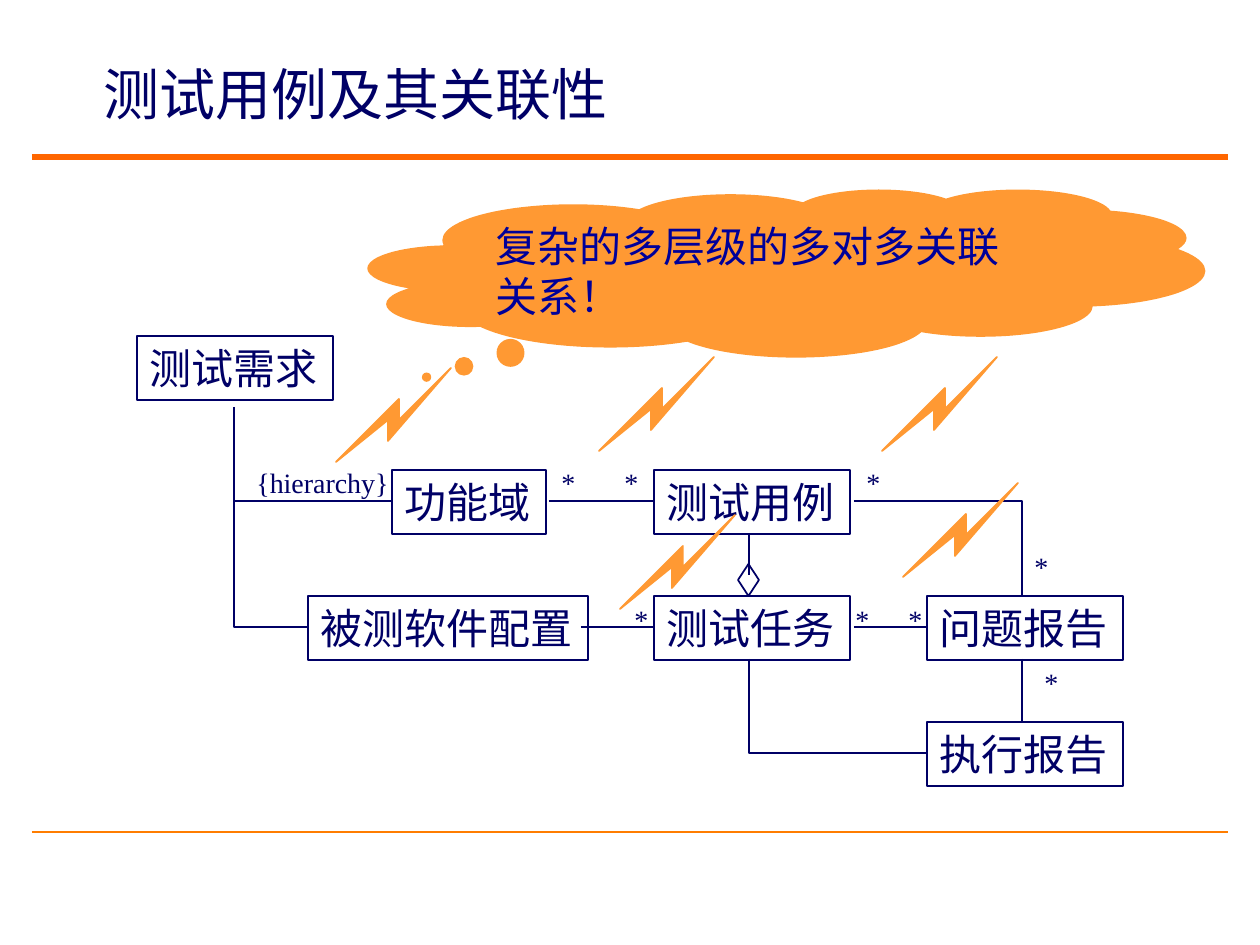
"""Build the slide on test cases and their associations."""
import pptx
import pptx.dml.color
import pptx.enum.shapes
import pptx.enum.text
import pptx.oxml.ns
import pptx.util
from lxml import etree

SCALE = 914400 // 126
COLORS = {"navy": "000066", "blue": "000099", "orange": "FF9933",
          "rule": "FF6600", "footer": "FF7D00"}
SERIF = "Times New Roman"
SHAPES = pptx.enum.shapes.MSO_SHAPE
AUTO_SIZE = pptx.enum.text.MSO_AUTO_SIZE
ANCHOR = pptx.enum.text.MSO_ANCHOR

TITLE = "测试用例及其关联性"
CALLOUT = "复杂的多层级的多对多关联关系！"
RULES = [(832, "footer", 1), (157, "rule", 3)]
BOX_HEIGHT = 64
BOXES = [
    ("测试需求", 137, 336, 196),
    ("功能域", 392, 470, 154),
    ("测试用例", 654, 470, 196),
    ("测试任务", 654, 596, 196),
    ("被测软件配置", 308, 596, 280),
    ("问题报告", 927, 596, 196),
    ("执行报告", 927, 722, 196),
]
LINKS = [
    [(234, 407), (234, 501), (392, 501)],
    [(234, 501), (234, 627), (308, 627)],
    [(549, 501), (654, 501)],
    [(749, 533), (749, 575)],
    [(581, 627), (654, 627)],
    [(854, 627), (927, 627)],
    [(749, 659), (749, 753), (927, 753)],
    [(1022, 659), (1022, 722)],
    [(854, 501), (1022, 501), (1022, 596)],
]
STARS = [(549, 459), (612, 459), (854, 459), (1022, 543),
         (1032, 659), (896, 596), (843, 596), (622, 596)]
LABELS = [("{hierarchy}", 244, 459, 159)] + [("*", x, y, 42) for x, y in STARS]
BOLT = [(0, 0), (63, -63), (63, -42), (115, -94), (52, -21), (52, -42)]
BOLT_TIPS = [(336, 462), (599, 451), (882, 451), (903, 577), (620, 609)]


def px(*lengths):
    return [length * SCALE for length in lengths]


def rgb(name):
    return pptx.dml.color.RGBColor.from_string(COLORS[name])


def paint(shape, fill=None, line=None):
    shape.shadow.inherit = False
    if fill:
        shape.fill.solid()
        shape.fill.fore_color.rgb = rgb(fill)
    else:
        shape.fill.background()
    if line:
        shape.line.color.rgb = rgb(line)
        shape.line.width = pptx.util.Pt(1)
    else:
        shape.line.fill.background()


def write(shape, text, size, color="navy", font=SERIF, wrap=True, anchor=ANCHOR.TOP):
    frame = shape.text_frame
    frame.text = text
    frame.word_wrap = wrap
    frame.auto_size = AUTO_SIZE.NONE
    frame.vertical_anchor = anchor
    paragraph = frame.paragraphs[0]
    paragraph.alignment = pptx.enum.text.PP_ALIGN.LEFT
    run_font = paragraph.runs[0].font
    run_font.size = pptx.util.Pt(size)
    run_font.name = font
    run_font.color.rgb = rgb(color)


def add_line(slide, start, end, color="navy", width=1):
    line = slide.shapes.add_connector(
        pptx.enum.shapes.MSO_CONNECTOR.STRAIGHT, *px(*start, *end))
    line.line.color.rgb = rgb(color)
    line.line.width = pptx.util.Pt(width)
    properties = line._element.spPr
    etree.SubElement(properties, pptx.oxml.ns.qn("a:effectLst"))


def add_outline(slide, points, close, fill=None, line="navy"):
    builder = slide.shapes.build_freeform(*points[0], scale=SCALE)
    builder.add_line_segments(points[1:], close=close)
    paint(builder.convert_to_shape(), fill, line)


def main():
    presentation = pptx.Presentation()
    presentation.slide_width, presentation.slide_height = px(1260, 945)
    slide = presentation.slides.add_slide(presentation.slide_layouts[5])
    shapes = slide.shapes

    for y, color, width in RULES:
        add_line(slide, (32, y), (1228, y), color, width)

    title = shapes.title
    title.left, title.top, title.width, title.height = px(91, 32, 1113, 116)
    write(title, TITLE, 32, font="Arial", anchor=ANCHOR.MIDDLE)
    title.text_frame.paragraphs[0].line_spacing = pptx.util.Pt(42)

    for text, x, y, width in BOXES:
        box = shapes.add_shape(SHAPES.RECTANGLE, *px(x, y, width, BOX_HEIGHT))
        paint(box, line="navy")
        write(box, text, 24, wrap=False)

    for points in LINKS:
        if len(points) == 2:
            add_line(slide, *points)
        else:
            add_outline(slide, points, close=False)

    diamond = shapes.add_shape(SHAPES.DIAMOND, *px(738, 564, 21, 32))
    paint(diamond, line="navy")

    for text, x, y, width in LABELS:
        label = shapes.add_textbox(*px(x, y, width, 47))
        write(label, text, 16, wrap=text == "*")

    cloud = shapes.add_shape(SHAPES.CLOUD_CALLOUT, *px(368, 189, 837, 168))
    cloud.adjustments[0], cloud.adjustments[1] = -0.43, 0.62
    paint(cloud, fill="orange")
    write(cloud, CALLOUT, 24, color="blue")

    for x, y in BOLT_TIPS:
        points = [(x + dx, y + dy) for dx, dy in BOLT]
        add_outline(slide, points, close=True, fill="orange", line="orange")

    presentation.save("out.pptx")


if __name__ == "__main__":
    main()
